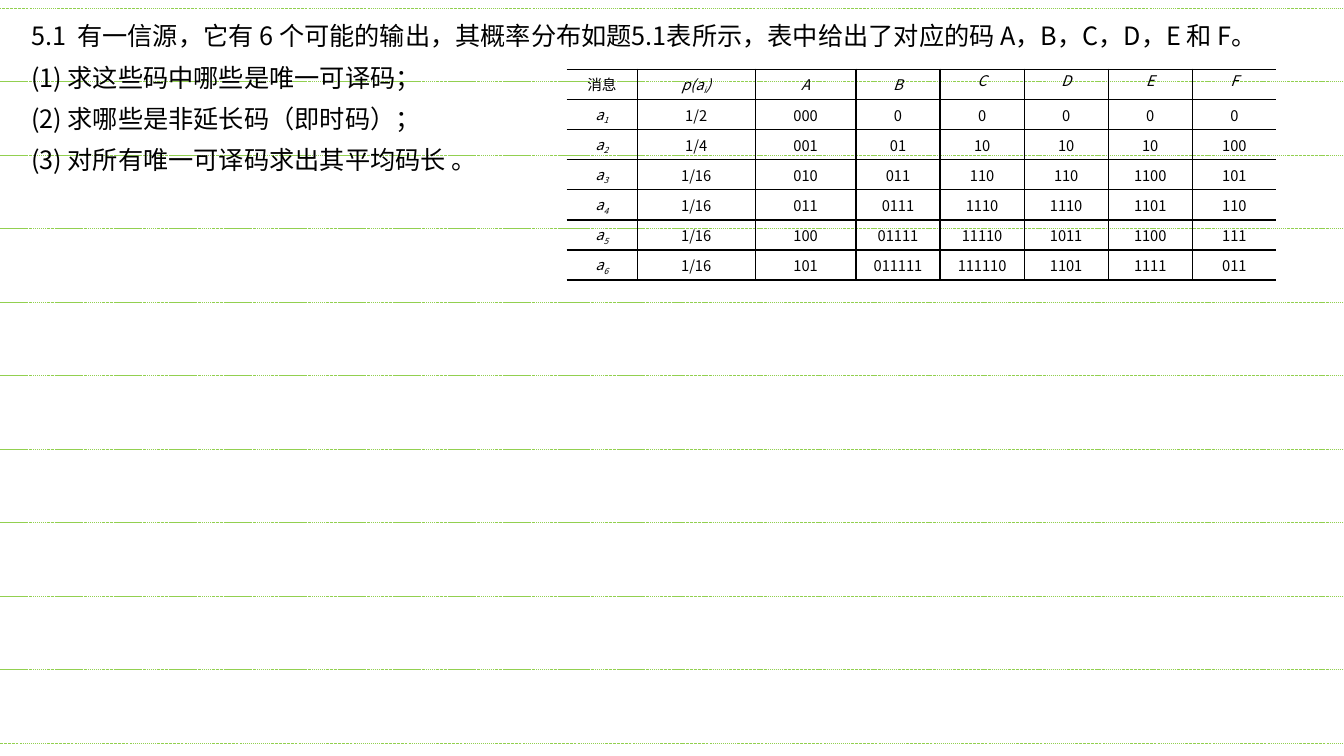
"""Build the exercise 5.1 slide: ruled background, question text and code table."""
from dataclasses import dataclass

from pptx import Presentation, util as u
from pptx.dml.color import RGBColor
from pptx.enum import dml, shapes, text
from pptx.oxml import ns, xmlchemy


@dataclass(frozen=True)
class Theme:
    ink: RGBColor = RGBColor(0, 0, 0)
    rule: RGBColor = RGBColor(0x92, 0xD0, 0x50)
    font: str = "Noto Sans CJK SC"
    label_font: str = "Times New Roman"
    body: float = 18
    cell: float = 10.5
    thin: float = 1
    thick: float = 1.5


@dataclass(frozen=True)
class Entry:
    body: str
    sub: str = ""
    tail: str = ""
    italic: bool = False
    font: str = Theme.font
    anchor: text.MSO_ANCHOR = text.MSO_ANCHOR.MIDDLE


THEME = Theme()
QUESTION = (
    "5.1  有一信源，它有 6 个可能的输出，其概率分布如题5.1表所示，表中给出了对应的码 A，B，C，D，E 和 F。",
    "(1) 求这些码中哪些是唯一可译码；",
    "(2) 求哪些是非延长码（即时码）；",
    "(3) 对所有唯一可译码求出其平均码长 。",
)
CODES = (
    "1/2 000 0 0 0 0 0",
    "1/4 001 01 10 10 10 100",
    "1/16 010 011 110 110 1100 101",
    "1/16 011 0111 1110 1110 1101 110",
    "1/16 100 01111 11110 1011 1100 111",
    "1/16 101 011111 111110 1101 1111 011",
)
HEADER = [
    Entry("消息", font=THEME.label_font),
    Entry("p(a", "i", ")", italic=True),
    *(Entry(c, italic=True) for c in "AB"),
    *(Entry(c, italic=True, anchor=text.MSO_ANCHOR.TOP) for c in "CDEF"),
]
ROWS = [HEADER] + [
    [Entry("a", str(i), italic=True), *map(Entry, line.split())]
    for i, line in enumerate(CODES, 1)
]


def set_font(p, size: float, name: str, italic: bool = False) -> None:
    """Set the paragraph font for Latin and East Asian text."""
    f = p.font
    f.size, f.name, f.italic = u.Pt(size), name, italic
    f.color.rgb = THEME.ink
    if name == THEME.font:
        props = p._p.pPr.find(ns.qn("a:defRPr"))
        ea = xmlchemy.OxmlElement("a:ea")
        ea.set("typeface", name)
        props.find(ns.qn("a:latin")).addnext(ea)


def set_borders(cell, widths: dict[str, float]) -> None:
    """Draw the cell borders, leaving sides of zero width open."""
    props = cell._tc.get_or_add_tcPr()
    for i, (side, width) in enumerate(widths.items()):
        ln = xmlchemy.OxmlElement(f"a:ln{side}")
        if width:
            ln.set("w", str(u.Pt(width)))
            fill = xmlchemy.OxmlElement("a:solidFill")
            color = xmlchemy.OxmlElement("a:srgbClr")
            color.set("val", str(THEME.ink))
            fill.append(color)
        else:
            fill = xmlchemy.OxmlElement("a:noFill")
        ln.append(fill)
        props.insert(i, ln)


def fill_cell(cell, entry: Entry) -> None:
    """Write one centred entry with its optional subscript."""
    cell.fill.background()
    cell.margin_left = cell.margin_right = cell.margin_top = cell.margin_bottom = 0
    cell.vertical_anchor = entry.anchor
    p = cell.text_frame.paragraphs[0]
    p.alignment = text.PP_ALIGN.CENTER
    set_font(p, THEME.cell, entry.font, entry.italic)
    for part in filter(None, (entry.body, entry.sub, entry.tail)):
        r = p.add_run()
        r.text = part
        if part == entry.sub:
            r._r.get_or_add_rPr().set("baseline", "-25000")


def add_rules(s, count: int = 10) -> None:
    """Stack the outlined bands that rule the page."""
    first, last = u.Inches(0.08), u.Inches(6.64)
    pitch = (last - first) / (count - 1)
    for i in range(count):
        sp = s.shapes.add_shape(
            shapes.MSO_SHAPE.RECTANGLE, u.Inches(-0.93), round(first + i * pitch),
            u.Inches(15.4), round(pitch))
        sp.shadow.inherit = False
        sp.fill.background()
        sp.line.color.rgb = THEME.rule
        sp.line.width = u.Pt(0.25)
        sp.line.dash_style = dml.MSO_LINE.DASH_DOT


def add_code_table(s) -> None:
    """Add the table of messages, probabilities and codes."""
    width, height = u.Inches(7.04), u.Inches(2.09)
    n_rows, n_cols = len(ROWS), len(HEADER)
    table = s.shapes.add_table(
        n_rows, n_cols, u.Inches(5.62), u.Inches(0.69), width, height).table
    table.first_row = table.horz_banding = False
    lead = [u.Inches(w) for w in (0.7, 1.17, 1)]
    code_width = (width - sum(lead)) // (n_cols - len(lead))
    for j, col in enumerate(table.columns):
        col.width = lead[j] if j < len(lead) else code_width
    for row in table.rows:
        row.height = height // n_rows
    for i, entries in enumerate(ROWS):
        for j, entry in enumerate(entries):
            cell = table.cell(i, j)
            fill_cell(cell, entry)
            set_borders(cell, {
                "L": THEME.thin if j else 0,
                "R": THEME.thin if j < n_cols - 1 else 0,
                "T": THEME.thin if i else THEME.thick,
                "B": THEME.thin if i < n_rows - 1 else THEME.thick,
            })


def add_question(s) -> None:
    """Add the question and its three parts."""
    tf = s.shapes.add_textbox(
        u.Inches(0.21), u.Inches(0.19), u.Inches(12.92), u.Inches(7.15)).text_frame
    tf.word_wrap = True
    for i, line in enumerate(QUESTION):
        p = tf.add_paragraph() if i else tf.paragraphs[0]
        p.text = line
        p.line_spacing = 0.9
        p.space_before = u.Pt(10)
        set_font(p, THEME.body, THEME.font)


def main() -> None:
    """Build and save the slide."""
    prs = Presentation()
    prs.slide_width, prs.slide_height = u.Inches(13.33), u.Inches(7.5)
    s = prs.slides.add_slide(prs.slide_layouts[6])
    add_rules(s)
    add_code_table(s)
    add_question(s)
    prs.save("out.pptx")


main()
